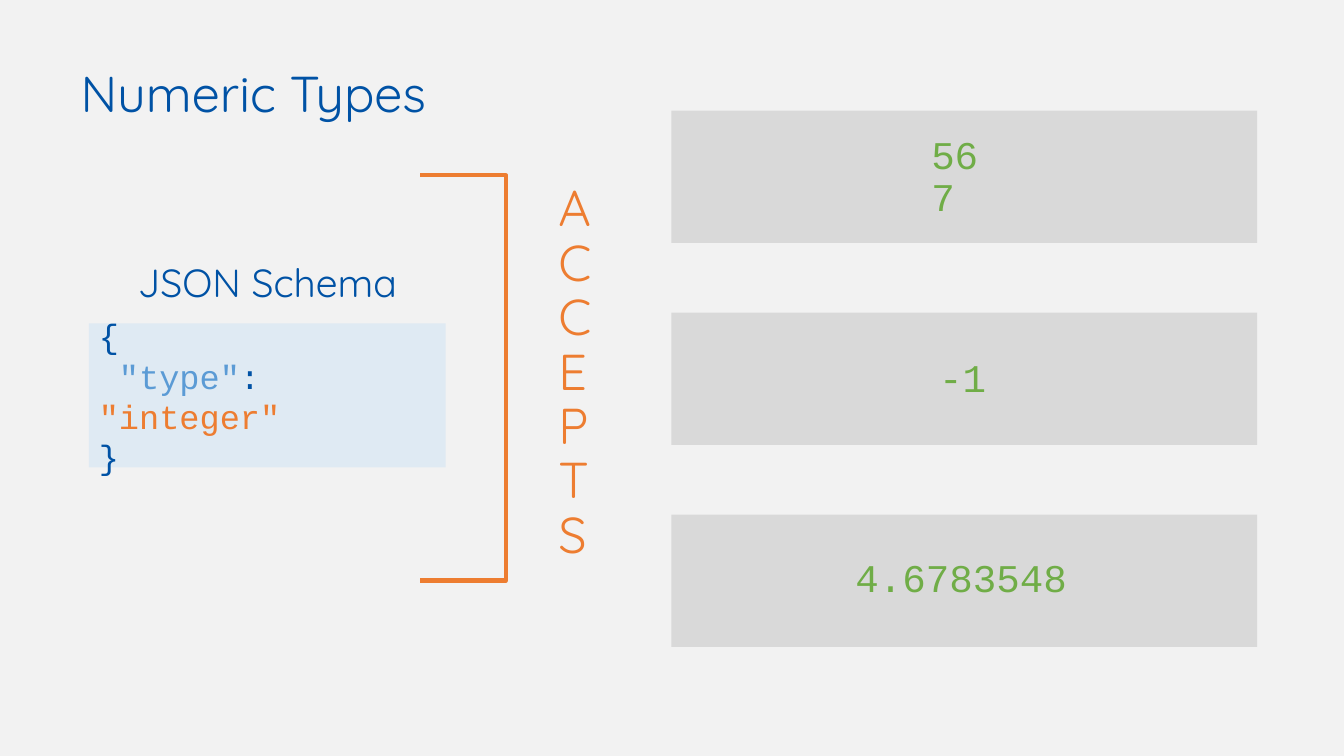
from pptx import Presentation
from pptx.dml.color import RGBColor
from pptx.enum.shapes import MSO_SHAPE
from pptx.enum.text import MSO_ANCHOR, PP_ALIGN
from pptx.util import Cm, Pt

COLOURS = {
    "background": "F2F2F2",
    "code panel": "DFEAF3",
    "value panel": "D9D9D9",
    "navy": "0052A5",
    "blue": "5B9BD5",
    "orange": "ED7D31",
    "green": "70AD47",
}
HEADING_FONT = "Quicksand"
CODE_FONT = "Courier New"

PANEL_LEFT, PANEL_TOP, PANEL_WIDTH, PANEL_HEIGHT = 16.92, 2.79, 14.76, 3.33
PANEL_PITCH = 5.09

# Text, left, offset below the panel top, width, wrapped
VALUES = [
    ("567", 23.22, 1.02, 2.18, True),
    ("-1", 23.42, 1.02, 1.75, True),
    ("4.6783548", 21.56, 0.97, 5.49, False),
]

SCHEMA_LINES = [
    [("{", "navy")],
    [(' "type"', "blue"), (": ", "navy"), ('"integer"', "orange")],
    [("}", "navy")],
]


def colour(name):
    return RGBColor.from_string(COLOURS[name])


def add_panel(slide, left, top, width, height, fill):
    shape = slide.shapes.add_shape(
        MSO_SHAPE.RECTANGLE, Cm(left), Cm(top), Cm(width), Cm(height))
    shape.shadow.inherit = False
    shape.fill.solid()
    shape.fill.fore_color.rgb = colour(fill)
    shape.line.fill.background()


def add_bracket(slide, left, top, width, height):
    shape = slide.shapes.add_shape(
        MSO_SHAPE.RIGHT_BRACKET, Cm(left), Cm(top), Cm(width), Cm(height))
    shape.adjustments[0] = 0
    shape.shadow.inherit = False
    shape.fill.background()
    shape.line.color.rgb = colour("orange")
    shape.line.width = Pt(3)


def add_text(slide, left, top, width, height, lines, font, size,
             align=PP_ALIGN.LEFT, spacing=0.9, wrap=True):
    """Add a text box; each line is a list of (text, colour name) runs."""
    box = slide.shapes.add_textbox(Cm(left), Cm(top), Cm(width), Cm(height))
    frame = box.text_frame
    frame.word_wrap = wrap
    frame.vertical_anchor = MSO_ANCHOR.MIDDLE
    for index, runs in enumerate(lines):
        paragraph = frame.add_paragraph() if index else frame.paragraphs[0]
        paragraph.alignment = align
        paragraph.line_spacing = spacing
        paragraph.font.name = font
        paragraph.font.size = Pt(size)
        for text, name in runs:
            run = paragraph.add_run()
            run.text = text
            run.font.color.rgb = colour(name)
    return frame


def add_value(slide, index, text, left, offset, width, wrap):
    top = PANEL_TOP + index * PANEL_PITCH
    add_panel(slide, PANEL_LEFT, top, PANEL_WIDTH, PANEL_HEIGHT, "value panel")
    frame = add_text(slide, left, top + offset, width, 1.35,
                     [[(text, "green")]], CODE_FONT, 28,
                     spacing=0.9 if wrap else 1.0, wrap=wrap)
    if not wrap:
        frame.margin_left = frame.margin_top = frame.margin_right = 0
        frame.margin_bottom = Cm(0.18)


def main():
    presentation = Presentation()
    presentation.slide_width = Cm(33.87)
    presentation.slide_height = Cm(19.05)
    slide = presentation.slides.add_slide(presentation.slide_layouts[6])
    slide.background.fill.solid()
    slide.background.fill.fore_color.rgb = colour("background")

    # Headings
    add_text(slide, 1.78, 0.58, 16.03, 3.68,
             [[("Numeric Types", "navy")]], HEADING_FONT, 36)
    add_text(slide, 3.07, 6.27, 7.34, 1.8,
             [[("JSON Schema", "navy")]], HEADING_FONT, 28, PP_ALIGN.CENTER)

    # Schema code
    add_panel(slide, 2.24, 8.15, 8.99, 3.63, "code panel")
    add_text(slide, 2.24, 8.31, 8.99, 3.33, SCHEMA_LINES, CODE_FONT, 24,
             spacing=1.0)

    # Bracket and its label, one letter per line in the narrow box
    add_bracket(slide, 10.59, 4.42, 2.16, 10.21)
    add_text(slide, 13.84, 1.9, 0.48, 15.04,
             [[("ACCEPTS", "orange")]], HEADING_FONT, 36)

    # Accepted values
    for index, value in enumerate(VALUES):
        add_value(slide, index, *value)

    presentation.save("out.pptx")


if __name__ == "__main__":
    main()
